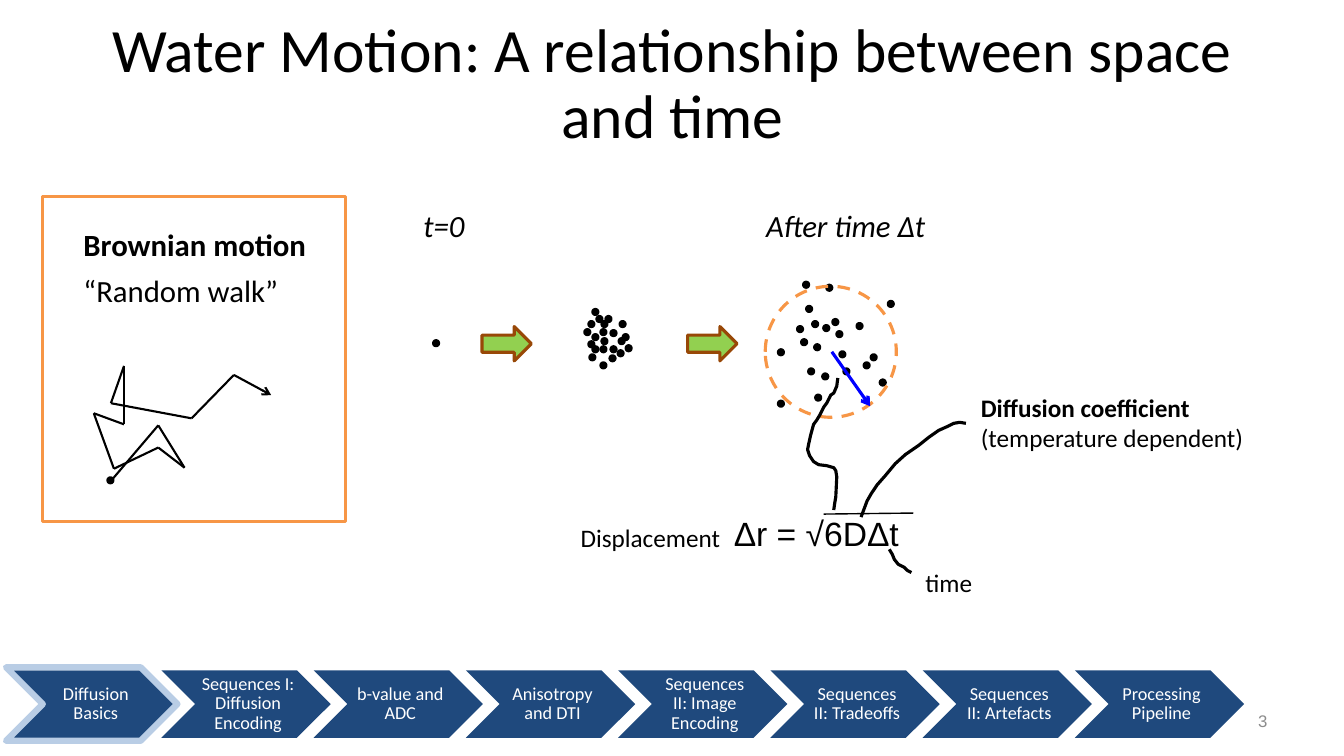
from itertools import pairwise

from pptx import Presentation
from pptx.dml.color import RGBColor
from pptx.enum.dml import MSO_LINE
from pptx.enum.shapes import MSO_CONNECTOR, MSO_SHAPE
from pptx.enum.text import MSO_ANCHOR, MSO_AUTO_SIZE, PP_ALIGN
from pptx.oxml.ns import qn
from pptx.util import Inches, Pt
from lxml import etree

BLACK = RGBColor(0x00, 0x00, 0x00)
WHITE = RGBColor(0xFF, 0xFF, 0xFF)
GRAY = RGBColor(0x8C, 0x8C, 0x8C)
BLUE = RGBColor(0x00, 0x00, 0xFF)
NAVY = RGBColor(0x1F, 0x49, 0x7D)
PALE_BLUE = RGBColor(0xB9, 0xCD, 0xE5)
ORANGE = RGBColor(0xF7, 0x96, 0x46)
GREEN = RGBColor(0x92, 0xD0, 0x50)
BROWN = RGBColor(0x98, 0x48, 0x07)

prs = Presentation()
prs.slide_width, prs.slide_height = Inches(13.33), Inches(7.5)
slide = prs.slides.add_slide(prs.slide_layouts[5])
shapes = slide.shapes


def paint(shape, fill=None, line=None, width=2.25):
    """Set fill and outline, where None means none, and drop the shadow."""
    shape.shadow.inherit = False
    if fill is None:
        shape.fill.background()
    else:
        shape.fill.solid()
        shape.fill.fore_color.rgb = fill
    if line is None:
        shape.line.fill.background()
    else:
        shape.line.color.rgb = line
        shape.line.width = Pt(width)


def write(paragraph, text, size, color, font="Calibri", bold=False, italic=False):
    run = paragraph.add_run()
    run.text = text
    run.font.name = font
    run.font.size = Pt(size)
    run.font.bold = bold
    run.font.italic = italic
    run.font.color.rgb = color


# Title
title = shapes.title
title.left, title.top = Inches(0.92), Inches(0.32)
title.width, title.height = Inches(11.5), Inches(1.06)
title.text_frame.auto_size = MSO_AUTO_SIZE.NONE
title.text_frame.word_wrap = True
title.text_frame.vertical_anchor = MSO_ANCHOR.MIDDLE
heading = title.text_frame.paragraphs[0]
heading.alignment = PP_ALIGN.CENTER
heading.line_spacing = 0.9
write(heading, "Water Motion: A relationship between space and time", 44, BLACK)

# Water molecules: walk start, t=0, early cloud, spread-out cloud
walk_start = [(1.07, 4.74)]
origin = [(4.3, 3.38)]
early_cloud = [
    (5.97, 3.19), (6.14, 3.36), (5.97, 3.36), (5.88, 3.32), (5.84, 3.39), (5.96, 3.44),
    (6.06, 3.44), (6.06, 3.28), (5.84, 3.19), (5.8, 3.27), (5.88, 3.44), (5.96, 3.6),
    (6.05, 3.53), (6.13, 3.48), (6.21, 3.43), (6.18, 3.32), (6.15, 3.19), (6.01, 3.14),
    (5.88, 3.07), (5.92, 3.14), (5.96, 3.27), (5.85, 3.52),
]
late_cloud = [
    (8.5, 3.21), (8.64, 3.52), (8.33, 3.49), (7.72, 3.47), (7.95, 3.37), (8.08, 3.42),
    (8.16, 3.71), (8.17, 3.23), (8.06, 3.19), (7.91, 3.24), (7.72, 3.98), (8.02, 3.66),
    (8.37, 3.66), (8.73, 3.77), (8.57, 3.6), (8.3, 3.29), (8.26, 3.17), (8.2, 2.83),
    (8, 3.04), (7.97, 2.8), (8.81, 2.99), (8.09, 3.92),
]
for left, top in walk_start + origin + early_cloud + late_cloud:
    molecule = shapes.add_shape(
        MSO_SHAPE.OVAL, Inches(left), Inches(top), Inches(0.05), Inches(0.05))
    paint(molecule, BLACK, BLACK)

for left in (4.78, 6.82):
    time_arrow = shapes.add_shape(
        MSO_SHAPE.RIGHT_ARROW, Inches(left), Inches(3.24), Inches(0.49), Inches(0.34))
    paint(time_arrow, GREEN, BROWN)

spread = shapes.add_shape(
    MSO_SHAPE.OVAL, Inches(7.59), Inches(2.84), Inches(1.3), Inches(1.3))
paint(spread, line=ORANGE)
spread.line.dash_style = MSO_LINE.DASH

walk_frame = shapes.add_shape(
    MSO_SHAPE.RECTANGLE, Inches(0.42), Inches(1.95), Inches(3.01), Inches(3.22))
paint(walk_frame, line=ORANGE)

# Straight lines: random walk, displacement arrow, bar of the root
walk = [
    (1.11, 4.76), (1.57, 4.22), (1.83, 4.64), (1.57, 4.44), (1.13, 4.65), (0.93, 4.1),
    (1.23, 4.21), (1.23, 3.63), (1.1, 4), (1.9, 4.15), (2.32, 3.72), (2.69, 3.92),
]
segments = [(start, end, BLACK, 1.5, end == walk[-1]) for start, end in pairwise(walk)]
segments += [
    ((8.25, 3.49), (8.63, 4.03), BLUE, 2.25, True),
    ((8.17, 5.1), (9.06, 5.09), BLACK, 1, False),
]
for start, end, color, width, has_arrow in segments:
    segment = shapes.add_connector(
        MSO_CONNECTOR.STRAIGHT, *(Inches(value) for value in start + end))
    segment.line.color.rgb = color
    segment.line.width = Pt(width)
    properties = segment._element.spPr
    if has_arrow:
        etree.SubElement(properties.find(qn("a:ln")), qn("a:tailEnd"), type="arrow")
    etree.SubElement(properties, qn("a:effectLst"))

# Hand-drawn strokes from the formula to its explanations
displacement_stroke = [
    (8.31, 3.75), (8.3, 3.83), (8.27, 3.9), (8.24, 3.92), (8.2, 4), (8.17, 4.04),
    (8.13, 4.12), (8.1, 4.17), (8.07, 4.21), (8.04, 4.32), (8.02, 4.41), (8.01, 4.46),
    (8.03, 4.52), (8.07, 4.58), (8.12, 4.61), (8.2, 4.62), (8.27, 4.64), (8.29, 4.67),
    (8.3, 4.73), (8.29, 4.93), (8.28, 4.99), (8.27, 5.06),
]
coefficient_stroke = [
    (8.54, 5.13), (8.6, 4.97), (8.64, 4.9), (8.7, 4.81), (8.78, 4.72), (8.88, 4.6),
    (8.98, 4.51), (9.11, 4.42), (9.21, 4.34), (9.31, 4.27), (9.4, 4.23), (9.46, 4.2),
    (9.52, 4.19), (9.58, 4.2),
]
time_stroke = [
    (8.82, 5.45), (8.85, 5.5), (8.87, 5.55), (8.91, 5.6), (8.97, 5.63), (9, 5.66),
    (9.04, 5.68),
]
for stroke_points in (displacement_stroke, coefficient_stroke, time_stroke):
    first, *rest = [(Inches(x), Inches(y)) for x, y in stroke_points]
    builder = shapes.build_freeform(*first)
    builder.add_line_segments(rest, close=False)
    paint(builder.convert_to_shape(), line=BLACK)

# Labels: left, top, width, height, text, size, font, bold, italic
labels = [
    (0.73, 2.65, 2.2, 0.47, "“Random walk”", 22, "Calibri", False, False),
    (0.73, 2.19, 2.67, 0.47, "Brownian motion", 22, "Calibri", True, False),
    (7.5, 2, 2.04, 0.47, "After time Δt", 22, "Calibri", False, True),
    (4.1, 2, 0.71, 0.47, "t=0", 22, "Calibri", False, True),
    (9.08, 5.58, 1.09, 0.4, "time", 18, "Calibri", False, False),
    (5.66, 5.13, 1.6, 0.4, "Displacement", 18, "Calibri", False, False),
    (7.18, 5.04, 3, 0.5, "Δr = √6DΔt", 24, "Arial", False, False),
]
for left, top, width, height, text, size, font, bold, italic in labels:
    label = shapes.add_textbox(Inches(left), Inches(top), Inches(width), Inches(height))
    label.text_frame.word_wrap = True
    write(label.text_frame.paragraphs[0], text, size, BLACK, font, bold, italic)

coefficient = shapes.add_textbox(Inches(9.63), Inches(3.84), Inches(2.85), Inches(0.71))
coefficient.text_frame.word_wrap = True
write(coefficient.text_frame.paragraphs[0], "Diffusion coefficient", 18, BLACK, bold=True)
write(coefficient.text_frame.add_paragraph(), "(temperature dependent)", 18, BLACK)

page_number = shapes.add_textbox(Inches(9.56), Inches(6.95), Inches(3.11), Inches(0.4))
page_number.text_frame.word_wrap = True
page_number.text_frame.vertical_anchor = MSO_ANCHOR.MIDDLE
page_number.text_frame.paragraphs[0].alignment = PP_ALIGN.RIGHT
write(page_number.text_frame.paragraphs[0], "3", 12, GRAY, "Arial")

# Course progress bar, first chapter highlighted
chapters = [
    "Diffusion Basics", "Sequences I: Diffusion Encoding", "b-value and ADC",
    "Anisotropy and DTI", "Sequences II: Image Encoding", "Sequences II: Tradeoffs",
    "Sequences II: Artefacts", "Processing Pipeline",
]
for index, name in enumerate(chapters):
    chapter = shapes.add_shape(
        MSO_SHAPE.CHEVRON, Inches(0.09 + 1.51 * index), Inches(6.65),
        Inches(1.68), Inches(0.67))
    paint(chapter, NAVY)
    frame = chapter.text_frame
    frame.word_wrap = True
    frame.vertical_anchor = MSO_ANCHOR.MIDDLE
    frame.margin_left = Inches(0.06)
    frame.margin_top = frame.margin_right = frame.margin_bottom = Inches(0.02)
    frame.paragraphs[0].alignment = PP_ALIGN.CENTER
    frame.paragraphs[0].line_spacing = 0.9
    write(frame.paragraphs[0], name, 13, WHITE)

highlight = shapes.add_shape(
    MSO_SHAPE.CHEVRON, Inches(0.06), Inches(6.62), Inches(1.7), Inches(0.73))
paint(highlight, line=PALE_BLUE, width=4.5)

prs.save("out.pptx")
